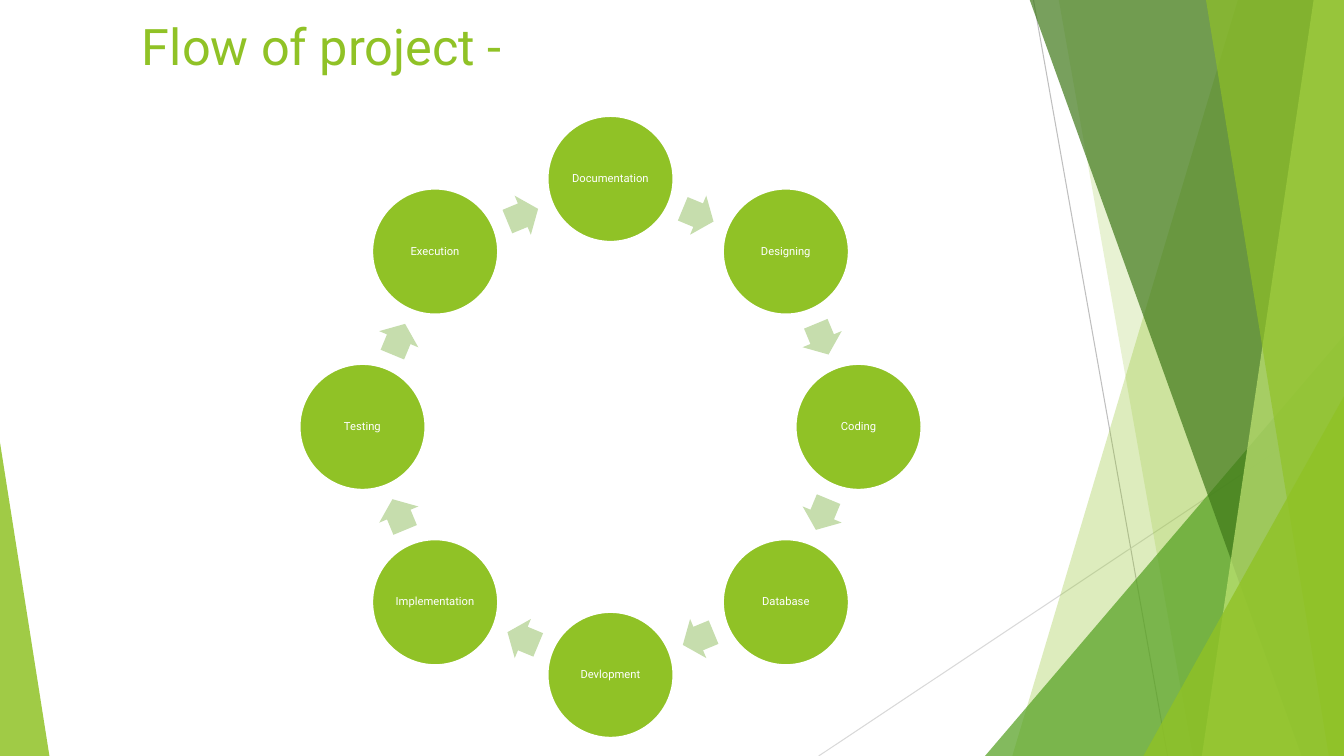
from dataclasses import dataclass
from math import cos, pi, sin

from lxml.etree import SubElement
from pptx import Presentation
from pptx.dml.color import RGBColor
from pptx.enum.shapes import MSO_CONNECTOR, MSO_SHAPE
from pptx.enum.text import MSO_ANCHOR, PP_ALIGN
from pptx.oxml.ns import qn
from pptx.util import Inches, Pt


@dataclass(frozen=True)
class Theme:
    font: str = "Roboto"
    green: str = "90C226"
    leaf: str = "54A021"
    forest: str = "3F7819"
    lime: str = "C0E474"
    arrow: str = "C6DDAD"
    white: str = "FFFFFF"
    title_size: int = 36
    step_size: int = 8


theme = Theme()


def paint(shape, color, opacity=100):
    """Give a shape a flat fill, without outline or shadow."""
    shape.shadow.inherit = False
    shape.fill.solid()
    shape.fill.fore_color.rgb = RGBColor.from_string(color)
    shape.line.fill.background()
    if opacity < 100:
        color_node = shape.fill._xPr.find(qn("a:solidFill"))[0]
        SubElement(color_node, qn("a:alpha"), val=str(opacity * 1000))


def write(shape, text, size, color, frame_format, para_format):
    frame = shape.text_frame
    for name, value in frame_format.items():
        setattr(frame, name, value)
    para = frame.paragraphs[0]
    for name, value in para_format.items():
        setattr(para, name, value)
    span = para.add_run()
    span.text = text
    for name, value in {"name": theme.font, "size": Pt(size)}.items():
        setattr(span.font, name, value)
    span.font.color.rgb = RGBColor.from_string(color)


deck = Presentation()
deck.slide_width, deck.slide_height = Inches(13.33), Inches(7.5)
page = deck.slides.add_slide(deck.slide_layouts[6])

# Thin lines behind the green facets
for x1, y1, x2, y2, color in [
    (10.25, 0, 11.58, 7.5, "BFBFBF"),
    (13.33, 4.03, 8.12, 7.5, "D9D9D9"),
]:
    line = page.shapes.add_connector(
        MSO_CONNECTOR.STRAIGHT, Inches(x1), Inches(y1), Inches(x2), Inches(y2))
    line.line.color.rgb = RGBColor.from_string(color)
    line.line.width = Pt(0.75)
    SubElement(line._element.spPr, qn("a:effectLst"))

# Bands run to the right edge: (top x, bottom x).
# Triangles stand on the bottom edge: (left, top, width, apex position).
facets = [
    ((12.28, 10.04), theme.green, 30),
    ((10.5, 11.83), theme.green, 20),
    ((9.77, 3.33, 3.56, 1), theme.leaf, 72),
    ((10.21, 12.91), theme.forest, 70),
    ((13.03, 11.92), theme.lime, 70),
    ((11.96, 13.18), theme.green, 65),
    ((11.34, 3.93, 1.99, 1), theme.green, 80),
    ((0, 4.39, 0.49, 0), theme.green, 85),
]
for outline, color, opacity in facets:
    if len(outline) == 2:
        top_x, bottom_x = outline
        builder = page.shapes.build_freeform(Inches(top_x), Inches(-0.01))
        corners = [(13.33, -0.01), (13.33, 7.5), (bottom_x, 7.5)]
        builder.add_line_segments([(Inches(x), Inches(y)) for x, y in corners])
        facet = builder.convert_to_shape()
    else:
        left, top, width, apex = outline
        facet = page.shapes.add_shape(
            MSO_SHAPE.ISOSCELES_TRIANGLE,
            Inches(left), Inches(top), Inches(width), Inches(7.5 - top))
        facet.adjustments[0] = apex
    paint(facet, color, opacity)

title = page.shapes.add_textbox(Inches(1.31), Inches(0.1), Inches(7.29), Inches(0.98))
write(title, "Flow of project -", theme.title_size, theme.green,
      {"word_wrap": True, "vertical_anchor": MSO_ANCHOR.TOP}, {})

# Cycle: steps clockwise from the top, an arrow midway to each next step
steps = ["Documentation", "Designing", "Coding", "Database",
         "Devlopment", "Implementation", "Testing", "Execution"]
center_x, center_y, radius = 6.055, 4.235, 2.46
diameter, arrow_width, arrow_height = 1.25, 0.33, 0.42
turn = 2 * pi / len(steps)
arrow_radius = radius * cos(turn / 2)
margins = ["margin_left", "margin_top", "margin_right", "margin_bottom"]
step_frame = {"word_wrap": True, "vertical_anchor": MSO_ANCHOR.MIDDLE,
              **dict.fromkeys(margins, Inches(0.01))}
step_para = {"alignment": PP_ALIGN.CENTER, "line_spacing": 0.9}

for index, step in enumerate(steps):
    angle = index * turn
    circle = page.shapes.add_shape(
        MSO_SHAPE.OVAL,
        Inches(center_x + radius * sin(angle) - diameter / 2),
        Inches(center_y - radius * cos(angle) - diameter / 2),
        Inches(diameter), Inches(diameter))
    paint(circle, theme.green)
    circle.line.color.rgb = RGBColor.from_string(theme.white)
    circle.line.width = Pt(1.5)
    write(circle, step, theme.step_size, theme.white, step_frame, step_para)

    angle += turn / 2
    arrow = page.shapes.add_shape(
        MSO_SHAPE.RIGHT_ARROW,
        Inches(center_x + arrow_radius * sin(angle) - arrow_width / 2),
        Inches(center_y - arrow_radius * cos(angle) - arrow_height / 2),
        Inches(arrow_width), Inches(arrow_height))
    arrow.rotation = (index + 0.5) * 360 / len(steps)
    arrow.adjustments[0] = 0.6
    arrow.adjustments[1] = 0.5
    paint(arrow, theme.arrow)

deck.save("out.pptx")
